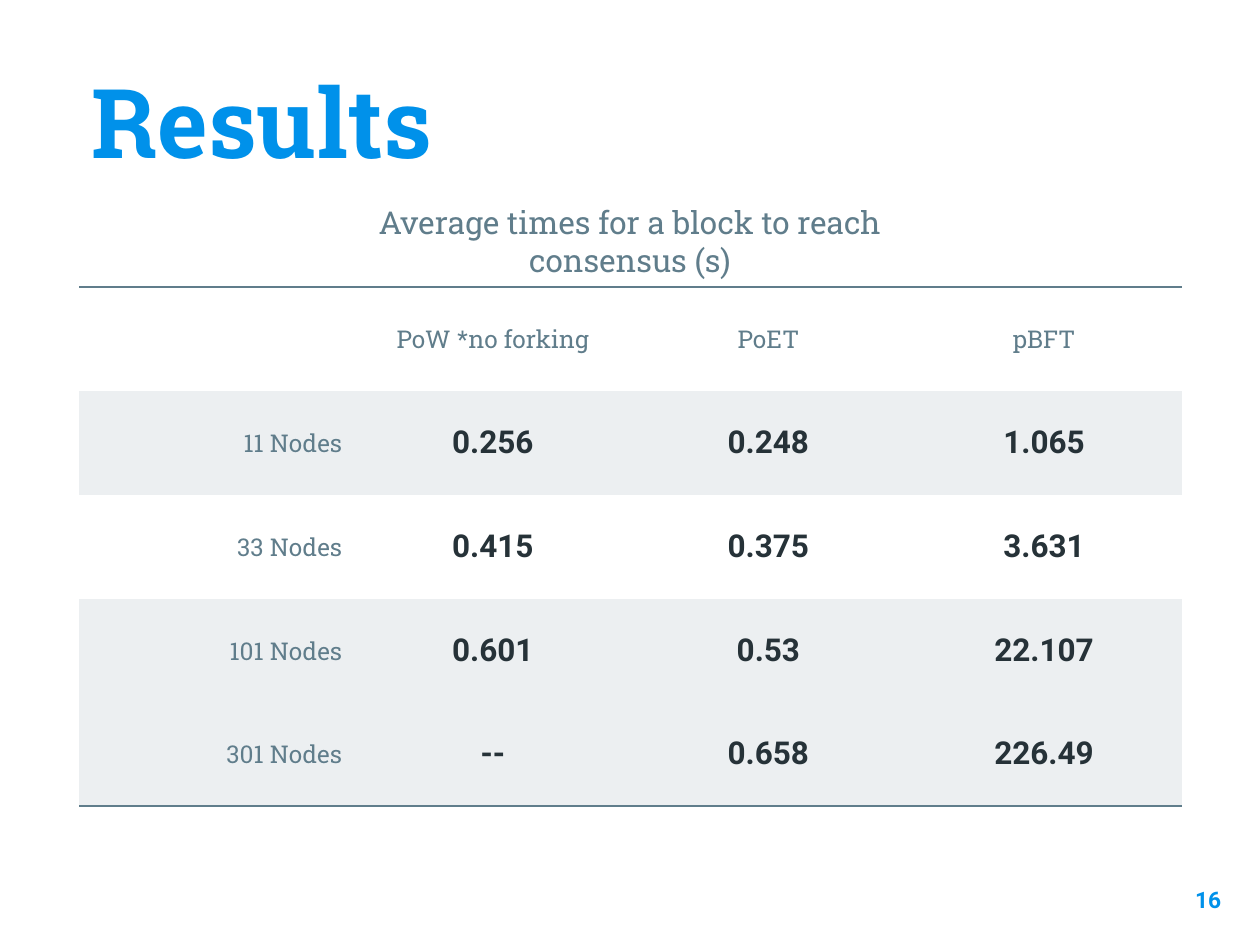
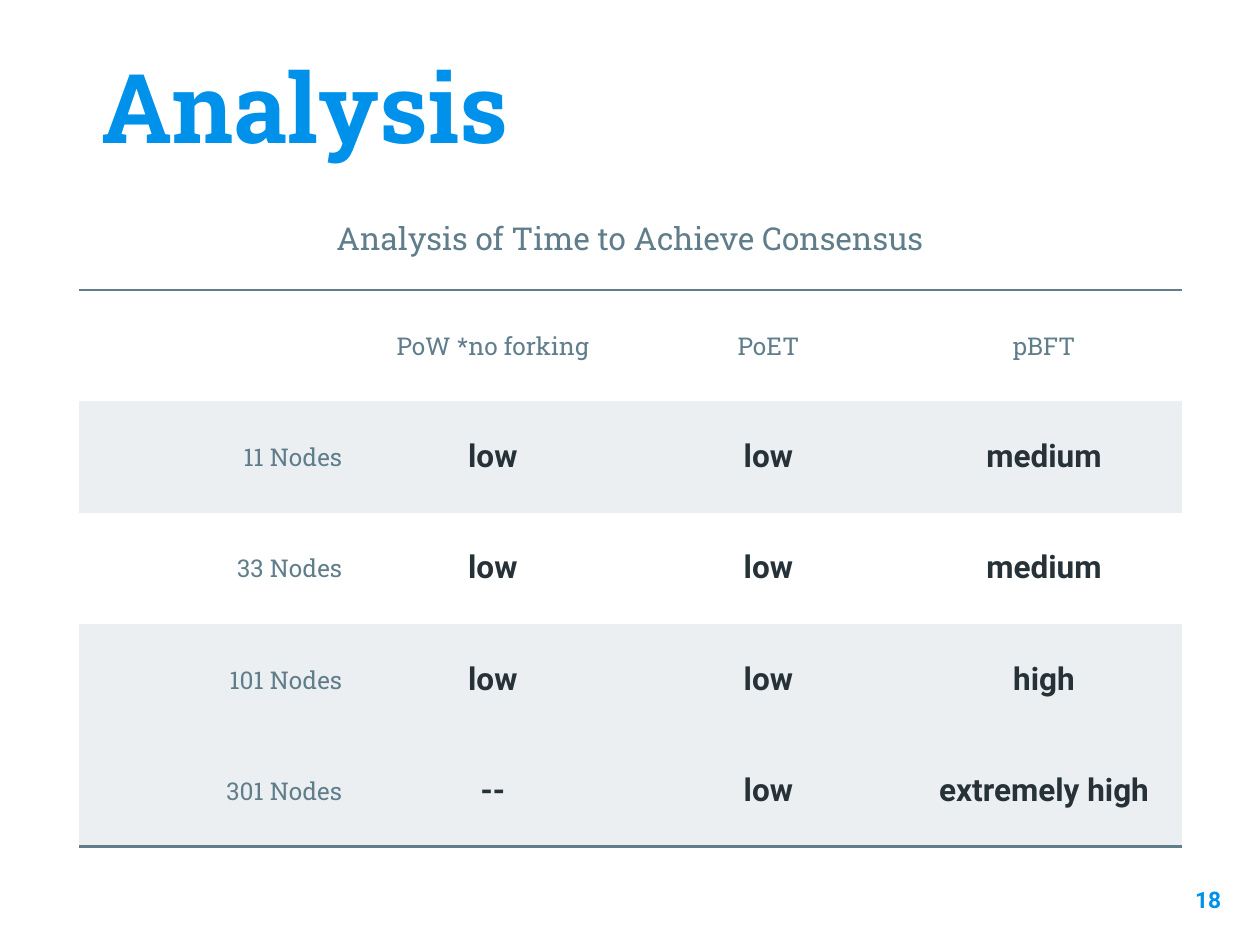
from lxml import etree
from pptx import Presentation
from pptx.dml.color import RGBColor
from pptx.enum.text import MSO_ANCHOR, PP_ALIGN
from pptx.oxml.ns import qn
from pptx.util import Inches, Pt

BLUE = RGBColor(0x00, 0x91, 0xEA)
SLATE = RGBColor(0x60, 0x7D, 0x8B)
INK = RGBColor(0x26, 0x32, 0x38)
BAND = RGBColor(0xEC, 0xEF, 0xF1)
WHITE = RGBColor(0xFF, 0xFF, 0xFF)
SERIF, SANS = "Roboto Slab", "Roboto"

# Text styles: font, size, colour, bold
TITLE = (SERIF, 55, BLUE, True)
CAPTION = (SERIF, 18, SLATE, False)
LABEL = (SERIF, 14, SLATE, False)
VALUE = (SANS, 18, INK, True)
NUMBER = (SANS, 13, BLUE, True)

PLAIN_TABLE_STYLE = "{2D5ABB26-0587-4C30-8999-92F81FD0307C}"
HEADINGS = ["", "PoW *no forking", "PoET", "pBFT"]
NODES = ["11 Nodes", "33 Nodes", "101 Nodes", "301 Nodes"]
BANDED_ROWS = (1, 3, 4)

PAGES = [
    {
        "title": "Results", "title_at": (0.63, 0.39),
        "caption": "Average times for a block to reach consensus (s)", "caption_top": 1.51,
        "table_top": 2.28, "table_height": 4.12, "number": "16",
        "values": [["0.256", "0.248", "1.065"],
                   ["0.415", "0.375", "3.631"],
                   ["0.601", "0.53", "22.107"],
                   ["--", "0.658", "226.49"]],
    },
    {
        "title": "Analysis", "title_at": (0.71, 0.27),
        "caption": "Analysis of Time to Achieve Consensus", "caption_top": 1.64,
        "table_top": 2.3, "table_height": 4.42, "number": "18",
        "values": [["low", "low", "medium"],
                   ["low", "low", "medium"],
                   ["low", "low", "high"],
                   ["--", "low", "extremely high"]],
    },
]


def write(holder, text, style, align):
    """Set margins and one styled run in a text frame or a table cell."""
    holder.margin_left = holder.margin_right = Inches(0.1)
    holder.margin_top = holder.margin_bottom = Inches(0.1)
    holder.word_wrap = True
    para = holder.paragraphs[0]
    para.alignment = align
    span = para.add_run()
    span.text = text
    span.font.name, size, span.font.color.rgb, span.font.bold = style
    span.font.size = Pt(size)


def rule(cell, side):
    """Draw a slate line on the top (lnT) or bottom (lnB) of a cell."""
    line = etree.Element(qn("a:" + side), w=str(Pt(1.5)))
    fill = etree.SubElement(line, qn("a:solidFill"))
    etree.SubElement(fill, qn("a:srgbClr"), val=str(SLATE))
    cell._tc.get_or_add_tcPr().insert(0, line)


deck = Presentation()
deck.slide_width, deck.slide_height = Inches(10), Inches(7.5)

for content in PAGES:
    page = deck.slides.add_slide(deck.slide_layouts[6])
    page.background.fill.solid()
    page.background.fill.fore_color.rgb = WHITE

    # Title, caption and page number
    left, top = content["title_at"]
    boxes = [
        ((left, top, 5.94, 1.12), content["title"], TITLE, PP_ALIGN.LEFT, MSO_ANCHOR.BOTTOM),
        ((2.38, content["caption_top"], 5.24, 0.94), content["caption"], CAPTION,
         PP_ALIGN.CENTER, MSO_ANCHOR.TOP),
        ((9.19, 6.93, 0.6, 0.57), content["number"], NUMBER, PP_ALIGN.RIGHT, MSO_ANCHOR.TOP),
    ]
    for place, text, style, align, anchor in boxes:
        box = page.shapes.add_textbox(*[Inches(length) for length in place])
        box.text_frame.vertical_anchor = anchor
        write(box.text_frame, text, style, align)

    # Table: equal columns and rows
    rows = [HEADINGS] + [[node] + values for node, values in zip(NODES, content["values"])]
    last_row = len(rows) - 1
    frame = page.shapes.add_table(len(rows), len(HEADINGS), Inches(0.63),
                                  Inches(content["table_top"]), Inches(8.75),
                                  Inches(content["table_height"]))
    table = frame.table
    table.first_row = table.horz_banding = False
    next(frame.element.iter(qn("a:tableStyleId"))).text = PLAIN_TABLE_STYLE

    for row, texts in enumerate(rows):
        for column, text in enumerate(texts):
            cell = table.cell(row, column)
            cell.vertical_anchor = MSO_ANCHOR.MIDDLE
            if row in BANDED_ROWS:
                cell.fill.solid()
                cell.fill.fore_color.rgb = BAND
            else:
                cell.fill.background()
            if row == 0:
                rule(cell, "lnT")
            elif row == last_row:
                rule(cell, "lnB")
            if text:
                style = LABEL if row == 0 or column == 0 else VALUE
                align = PP_ALIGN.RIGHT if column == 0 else PP_ALIGN.CENTER
                # Cells keep their paragraphs in a text frame
                write(cell.text_frame, text, style, align)
                cell.margin_left = cell.margin_right = Inches(0.1)
                cell.margin_top = cell.margin_bottom = Inches(0.1)

deck.save("out.pptx")
